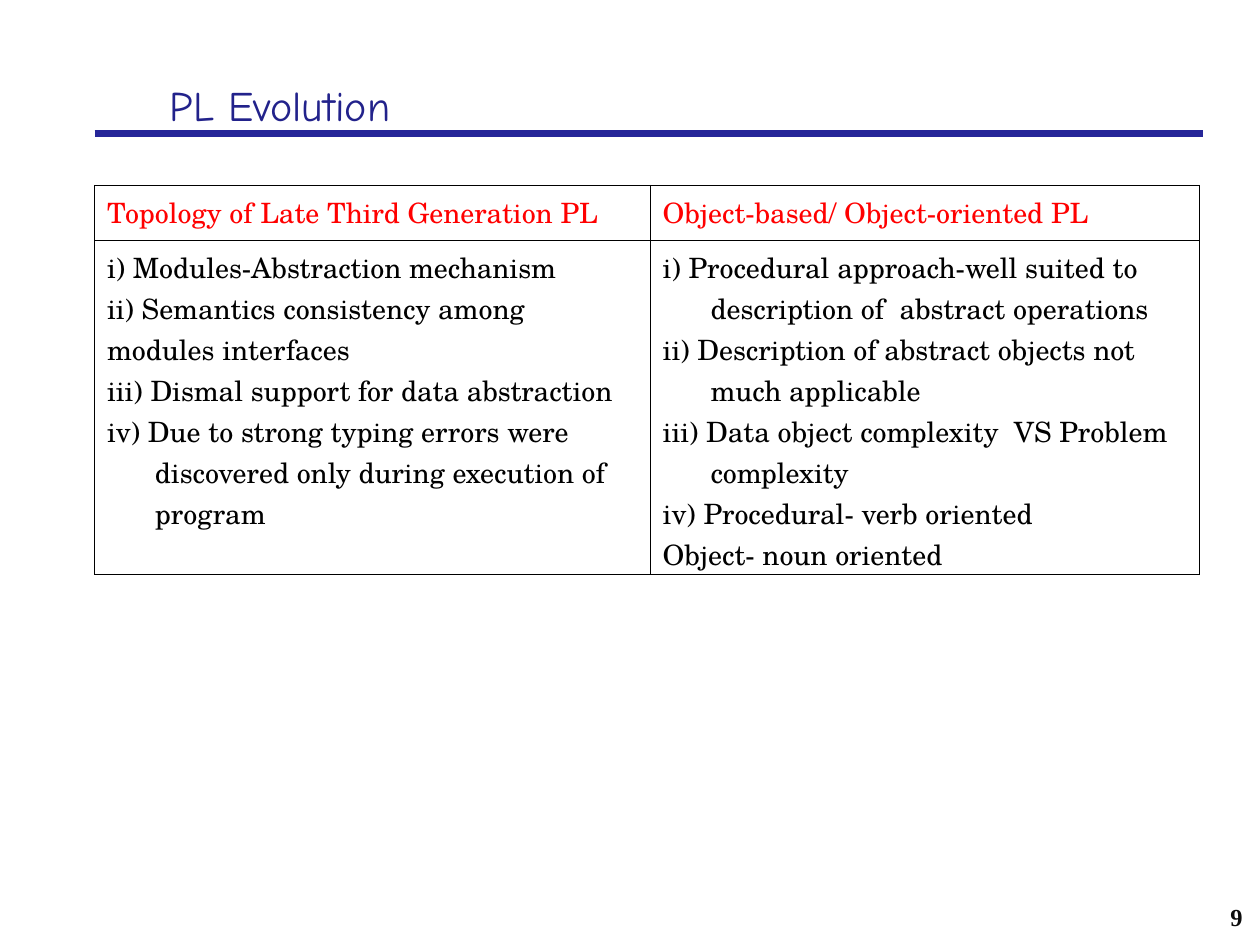
from dataclasses import dataclass

from lxml.etree import SubElement
from pptx import Presentation
from pptx.dml.color import RGBColor as RGB
from pptx.enum.shapes import MSO_CONNECTOR as Connector
from pptx.enum.text import MSO_ANCHOR as Anchor, PP_ALIGN as Align
from pptx.oxml.ns import qn
from pptx.util import Inches, Pt


@dataclass(frozen=True)
class TextStyle:
    font: str
    size: int
    color: str
    bold: bool = False


class Theme:
    title = TextStyle("Comic Neue", 24, "22228B")
    heading = TextStyle("TeX Gyre Schola", 16, "FF0000")
    body = TextStyle("TeX Gyre Schola", 16, "000000")
    number = TextStyle("Times New Roman", 14, "0D0D0D", True)
    rule_color, rule_width = "262699", 4
    border_color, border_width = "000000", 0.45
    hanging = 0.38


# Content
TITLE = "PL Evolution"
PAGE_NUMBER = "9"
COLUMNS = [
    {
        "heading": "Topology of Late Third Generation PL",
        "width": 4.41,
        "points": [
            "i) Modules-Abstraction mechanism",
            "ii) Semantics consistency among",
            "modules interfaces",
            "iii) Dismal support for data abstraction",
            "iv) Due to strong typing errors were discovered only during execution of program",
        ],
    },
    {
        "heading": "Object-based/ Object-oriented PL",
        "width": 4.36,
        "points": [
            "i) Procedural approach-well suited to description of  abstract operations",
            "ii) Description of abstract objects not much applicable",
            "iii) Data object complexity  VS Problem complexity",
            "iv) Procedural- verb oriented",
            "Object- noun oriented",
        ],
    },
]
ROW_HEIGHTS = [0.44, 2.65]
TABLE_LEFT, TABLE_TOP = 0.75, 1.47


def write_lines(frame, lines, style, align=Align.LEFT, hanging=0):
    for index, line in enumerate(lines):
        paragraph = frame.paragraphs[0] if index == 0 else frame.add_paragraph()
        paragraph.alignment = align
        if hanging:
            properties = paragraph._p.get_or_add_pPr()
            properties.set("marL", str(Inches(hanging)))
            properties.set("indent", str(-Inches(hanging)))
        run = paragraph.add_run()
        run.text = line
        font = run.font
        font.name, font.size, font.bold = style.font, Pt(style.size), style.bold
        font.color.rgb = RGB.from_string(style.color)


def add_text(slide, box, text, style, align=Align.LEFT, wrap=True):
    frame = slide.shapes.add_textbox(*map(Inches, box)).text_frame
    frame.word_wrap = wrap
    frame.vertical_anchor = Anchor.MIDDLE
    write_lines(frame, [text], style, align)


def add_borders(cell):
    properties = cell._tc.get_or_add_tcPr()
    for position, side in enumerate(("a:lnL", "a:lnR", "a:lnT", "a:lnB")):
        line = SubElement(properties, qn(side), w=str(Pt(Theme.border_width)))
        properties.insert(position, line)
        fill = SubElement(line, qn("a:solidFill"))
        SubElement(fill, qn("a:srgbClr"), val=Theme.border_color)


def add_rule(slide):
    start, end, height = Inches(0.75), Inches(9.55), Inches(1.06)
    rule = slide.shapes.add_connector(Connector.STRAIGHT, start, height, end, height)
    rule.line.color.rgb = RGB.from_string(Theme.rule_color)
    rule.line.width = Pt(Theme.rule_width)
    SubElement(rule._element.spPr, qn("a:effectLst"))


def add_comparison(slide):
    width = sum(column["width"] for column in COLUMNS)
    box = (TABLE_LEFT, TABLE_TOP, width, sum(ROW_HEIGHTS))
    table = slide.shapes.add_table(len(ROW_HEIGHTS), len(COLUMNS), *map(Inches, box)).table
    table.horz_banding = table.first_row = False
    for row, height in zip(table.rows, ROW_HEIGHTS):
        row.height = Inches(height)
    for index, column in enumerate(COLUMNS):
        table.columns[index].width = Inches(column["width"])
        parts = [([column["heading"]], Theme.heading), (column["points"], Theme.body)]
        for row_index, (lines, style) in enumerate(parts):
            cell = table.cell(row_index, index)
            cell.fill.background()
            add_borders(cell)
            write_lines(cell.text_frame, lines, style, hanging=Theme.hanging)


def main():
    presentation = Presentation()
    presentation.slide_width, presentation.slide_height = Inches(10), Inches(7.5)
    slide = presentation.slides.add_slide(presentation.slide_layouts[6])

    # Title, rule and page number
    add_rule(slide)
    add_text(slide, (8.54, 7.11, 1.42, 0.33), PAGE_NUMBER, Theme.number, Align.RIGHT, wrap=False)
    add_text(slide, (1.25, 0.5, 8.27, 0.67), TITLE, Theme.title)

    # Comparison table
    add_comparison(slide)
    presentation.save("out.pptx")


if __name__ == "__main__":
    main()
